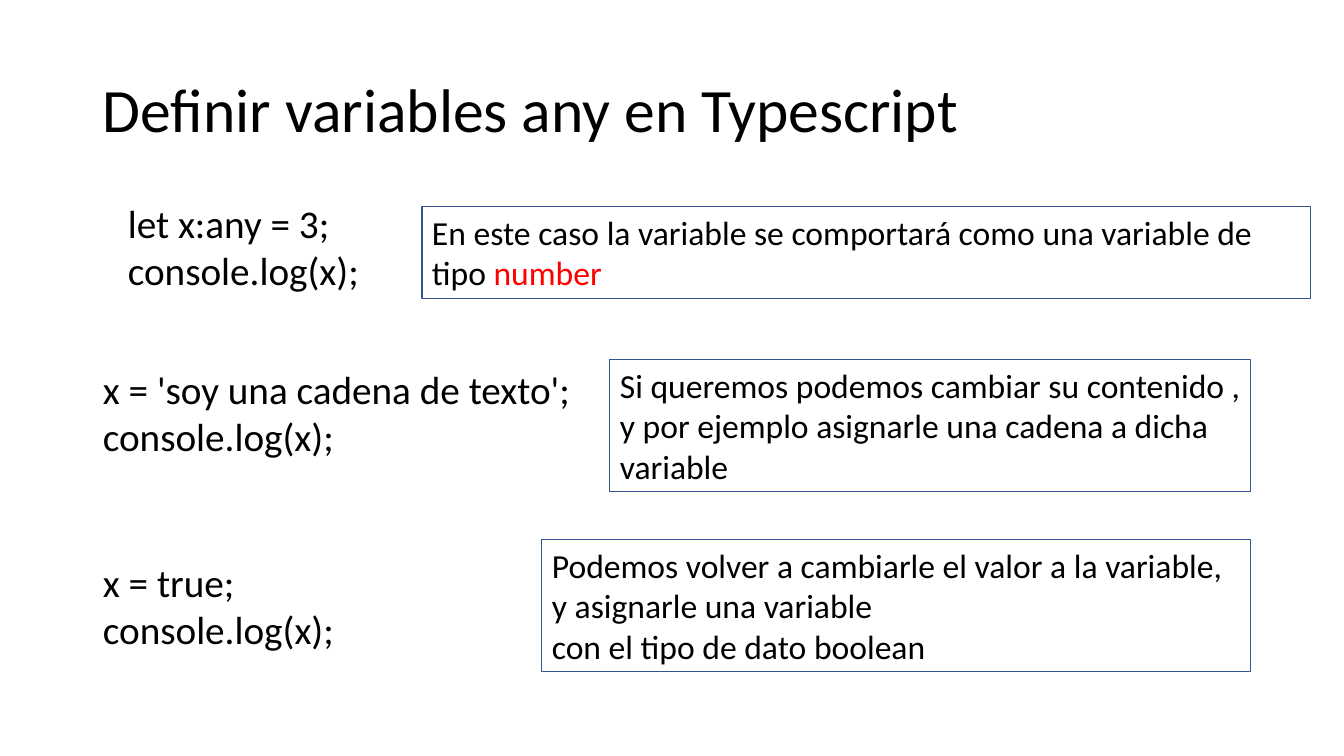
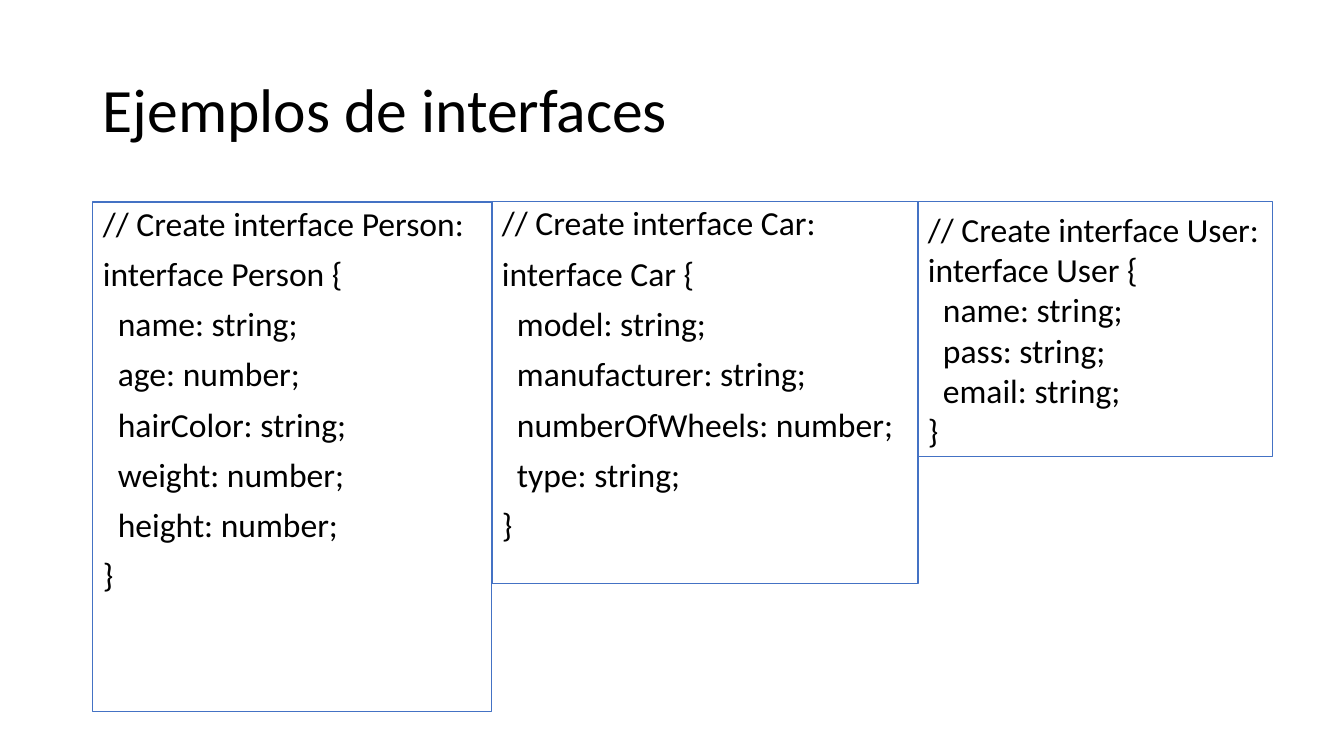
from dataclasses import dataclass
from pptx import Presentation
from pptx.dml.color import RGBColor
from pptx.enum.shapes import MSO_SHAPE
from pptx.enum.text import MSO_ANCHOR, PP_ALIGN
from pptx.util import Pt

SCALE = 914400 / 100.8


@dataclass(frozen=True)
class Theme:
    font: str = "Calibri"
    ink: str = "000000"
    accent: str = "FF0000"
    note: str = "325491"
    card: str = "4472C4"
    title: int = 44
    code: int = 28
    body: int = 24
    line: float = 0.75
    tab: int = 15


THEME = Theme()
TITLE = (93, 40, 1159, 146)


def px(value):
    return round(value * SCALE)


def color(code):
    return RGBColor.from_string(code)


def style(run, size, ink=THEME.ink):
    run.font.name = THEME.font
    run.font.size = Pt(size)
    run.font.color.rgb = color(ink)


def write(shape, lines, size, space=None, before=None, anchor=MSO_ANCHOR.TOP):
    frame = shape.text_frame
    frame.word_wrap = True
    frame.vertical_anchor = anchor
    frame.text = "\n".join(lines)
    for para in frame.paragraphs:
        para.alignment = PP_ALIGN.LEFT
        if space:
            para.line_spacing = space
        if before:
            para.space_before = Pt(before)
        for run in para.runs:
            style(run, size)
    return frame


def label(slide, box, lines, size, **kind):
    shape = slide.shapes.add_textbox(*map(px, box))
    return write(shape, lines, size, **kind)


def panel(slide, box, lines, edge, **kind):
    shape = slide.shapes.add_shape(MSO_SHAPE.RECTANGLE, *map(px, box))
    shape.shadow.inherit = False
    shape.fill.background()
    shape.line.color.rgb = color(edge)
    shape.line.width = Pt(THEME.line)
    return write(shape, lines, THEME.body, **kind)


def page(deck, title):
    slide = deck.slides.add_slide(deck.slide_layouts[6])
    label(slide, TITLE, [title], THEME.title, space=0.9, anchor=MSO_ANCHOR.MIDDLE)
    return slide


def step(slide, code_box, first, note_box, note, accent=None):
    label(slide, code_box, [first, "console.log(x);"], THEME.code)
    frame = panel(slide, note_box, note, THEME.note)
    if accent:
        run = frame.paragraphs[-1].add_run()
        run.text = accent
        style(run, THEME.body, THEME.accent)


def card(slide, box, name, fields, **kind):
    lines = [f"// Create interface {name}:", f"interface {name} {{"]
    lines += [f"{field};" for field in fields] + ["}"]
    frame = panel(slide, box, lines, THEME.card, **kind)
    for para in frame.paragraphs[2:-1]:
        para._p.get_or_add_pPr().set("marL", str(px(THEME.tab)))


def variables(deck):
    slide = page(deck, "Definir variables any en Typescript")
    step(slide, (118, 194, 274, 105), "let x:any = 3;", (422, 207, 889, 92),
         ["En este caso la variable se comportará como una variable de tipo "], "number")
    step(slide, (93, 360, 501, 105), "x = 'soy una cadena de texto';", (610, 360, 641, 132),
         ["Si queremos podemos cambiar su contenido , y por ejemplo asignarle "
          "una cadena a dicha variable"])
    step(slide, (93, 553, 376, 105), "x = true;", (542, 540, 709, 132),
         ["Podemos volver a cambiarle el valor a la variable, y asignarle una variable ",
          "con el tipo de dato boolean"])


def interfaces(deck):
    slide = page(deck, "Ejemplos de interfaces")
    loose = {"space": 0.9, "before": 10}
    cards = [
        ("Person", 399, 510, loose, ["name: string", "age: number", "hairColor: string",
                                     "weight: number", "height: number"]),
        ("Car", 426, 382, loose, ["model: string", "manufacturer: string",
                                  "numberOfWheels: number", "type: string"]),
        ("User", 355, 255, {"anchor": MSO_ANCHOR.MIDDLE},
         ["name: string", "pass: string", "email: string"]),
    ]
    left = TITLE[0]
    for name, width, height, kind, fields in cards:
        card(slide, (left, 202, width, height), name, fields, **kind)
        left += width


deck = Presentation()
deck.slide_width, deck.slide_height = px(1344), px(756)
variables(deck)
interfaces(deck)
deck.save("out.pptx")
